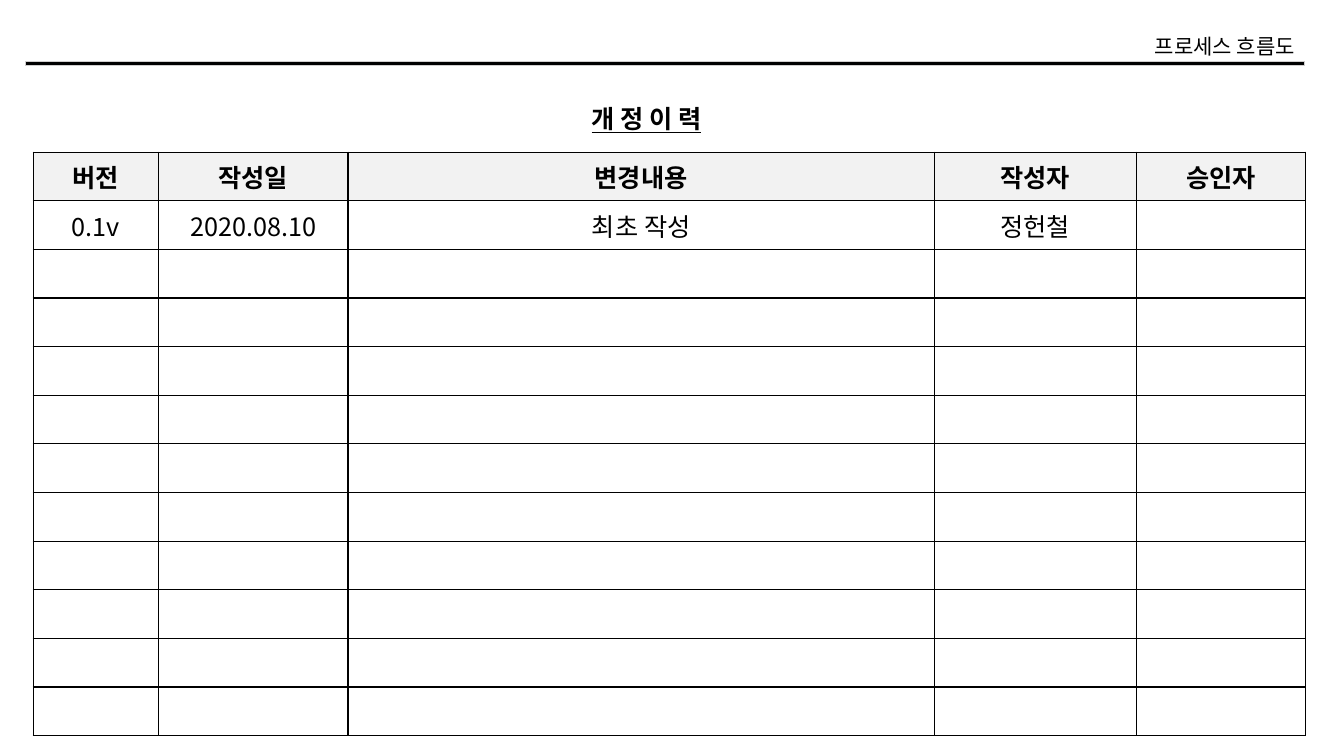
from lxml import etree
from pptx import Presentation
from pptx.dml.color import RGBColor
from pptx.enum.shapes import MSO_SHAPE
from pptx.enum.text import MSO_ANCHOR, MSO_AUTO_SIZE, PP_ALIGN
from pptx.oxml.ns import qn
from pptx.util import Inches, Pt

RECTANGLE = MSO_SHAPE.RECTANGLE
LEFT, CENTER, RIGHT = PP_ALIGN.LEFT, PP_ALIGN.CENTER, PP_ALIGN.RIGHT
MIDDLE = MSO_ANCHOR.MIDDLE
GROW = MSO_AUTO_SIZE.SHAPE_TO_FIT_TEXT

SLIDE_W, SLIDE_H = 13.33, 7.5
FONT = "Noto Sans CJK KR"
BLACK, RULE_EDGE, HEADER_FILL = "000000", "D0CECE", "F2F2F2"

COLUMN_WIDTHS = [1.24, 1.88, 5.81, 2, 1.68]
ROW_COUNT = 12
HEADINGS = ["버전", "작성일", "변경내용", "작성자", "승인자"]
REVISIONS = [["0.1v", "2020.08.10", "최초 작성", "정헌철", ""]]


def color(hex_code):
    return RGBColor.from_string(hex_code)


def write(frame, text, size=18, bold=False, underline=False, align=LEFT):
    paragraph = frame.paragraphs[0]
    paragraph.alignment = align
    run = paragraph.add_run()
    run.text = text
    font = run.font
    font.name, font.size, font.bold, font.underline = FONT, Pt(size), bold, underline
    font.color.rgb = color(BLACK)
    # Korean glyphs use the East Asian typeface
    etree.SubElement(font._element, qn("a:ea"), typeface=FONT)


def add_label(slide, box, text, wrap=True, **text_format):
    frame = slide.shapes.add_textbox(*map(Inches, box)).text_frame
    frame.word_wrap = wrap
    frame.auto_size = GROW
    write(frame, text, **text_format)


def add_page_header(slide, left, top, width, height):
    """Document name at the right, above a heavy rule along the bottom."""
    rule_h, name_w, name_h = 0.04, 1.75, 0.35
    rule = slide.shapes.add_shape(
        RECTANGLE, Inches(left), Inches(top + height - rule_h),
        Inches(width), Inches(rule_h))
    rule.shadow.inherit = False
    rule.fill.solid()
    rule.fill.fore_color.rgb = color(BLACK)
    rule.line.color.rgb = color(RULE_EDGE)
    rule.line.width = Pt(0.3)
    add_label(slide, (left + width - name_w, top, name_w, name_h),
              "프로세스 흐름도", wrap=False, size=15, align=RIGHT)


def set_borders(cell, hex_code=BLACK, points=1):
    properties = cell._tc.get_or_add_tcPr()
    for side in ("lnL", "lnR", "lnT", "lnB"):
        border = etree.SubElement(properties, qn(f"a:{side}"), w=str(Pt(points)))
        fill = etree.SubElement(border, qn("a:solidFill"))
        etree.SubElement(fill, qn("a:srgbClr"), val=hex_code)


def add_revision_table(slide, left, top, width, height):
    table = slide.shapes.add_table(
        ROW_COUNT, len(HEADINGS), *map(Inches, (left, top, width, height))).table
    table.horz_banding = False
    for column, share in zip(table.columns, COLUMN_WIDTHS):
        column.width = Inches(width * share / sum(COLUMN_WIDTHS))

    blank_rows = [[""] * len(HEADINGS)] * (ROW_COUNT - 1 - len(REVISIONS))
    for r, entries in enumerate([HEADINGS] + REVISIONS + blank_rows):
        table.rows[r].height = Inches(height / ROW_COUNT)
        is_header = r == 0
        for c, entry in enumerate(entries):
            cell = table.cell(r, c)
            cell.vertical_anchor = MIDDLE
            set_borders(cell)
            if is_header:
                cell.fill.solid()
                cell.fill.fore_color.rgb = color(HEADER_FILL)
            else:
                cell.fill.background()
            if entry:
                write(cell.text_frame, entry, bold=is_header, align=CENTER)


def build_revision_slide(presentation):
    slide = presentation.slides.add_slide(presentation.slide_layouts[6])
    add_page_header(slide, 0.25, 0.28, 12.69, 0.37)
    add_label(slide, (5.77, 0.98, 1.67, 0.4), "개 정 이 력",
              bold=True, underline=True)
    add_revision_table(slide, 0.33, 1.51, 12.62, 5.79)


def main():
    presentation = Presentation()
    presentation.slide_width = Inches(SLIDE_W)
    presentation.slide_height = Inches(SLIDE_H)
    build_revision_slide(presentation)
    presentation.save("out.pptx")


if __name__ == "__main__":
    main()
